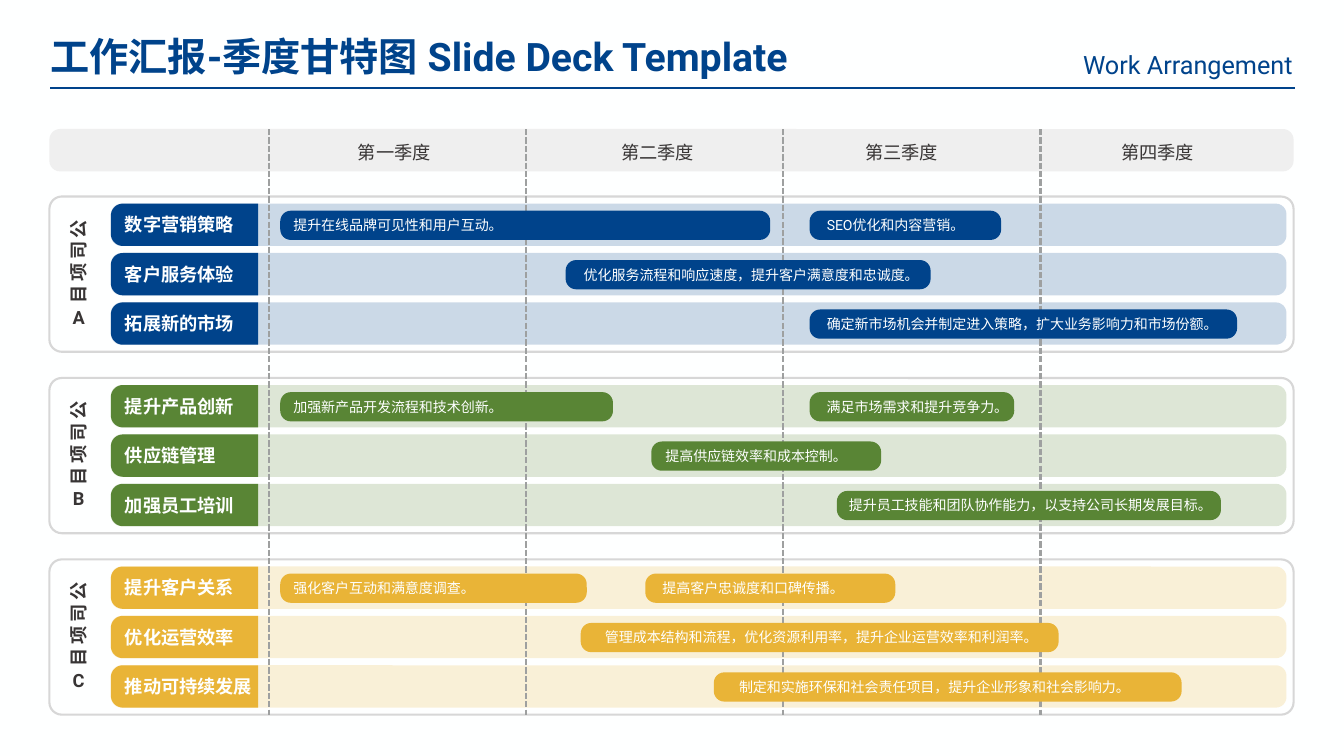
from math import cos, radians, sin

from pptx import Presentation
from pptx.dml.color import RGBColor
from pptx.enum.dml import MSO_LINE
from pptx.enum.lang import MSO_LANGUAGE_ID as LANGUAGE
from pptx.enum.shapes import MSO_CONNECTOR, MSO_SHAPE
from pptx.enum.text import MSO_ANCHOR, MSO_AUTO_SIZE, PP_ALIGN
from pptx.oxml.ns import qn
from pptx.util import Pt

PX = 9144  # 100 px to the inch
FONT = "Roboto"
NAVY, GREEN, AMBER = "00438B", "598535", "E9B437"
WHITE, INK, PALE, FRAME, DASH = "FEFFFF", "383535", "EFEFEF", "D7D7D7", "9EA0A0"
rgb = RGBColor.from_string

GROUP_TOP, GROUP_PITCH, GROUP_HEIGHT = 195, 180, 154
ROW_INSET, ROW_PITCH, ROW_HEIGHT = 7, 49, 42
LABEL_LEFT, LABEL_RIGHT, CORNER = 110, 256, 12
QUARTERS = {"第一季度": 352, "第二季度": 613, "第三季度": 855, "第四季度": 1109}

# Each row: label, then bars of left, width, text left, text width, text
GROUPS = [
    ("公司项目A", NAVY, [
        ("数字营销策略", [
            (278, 486, 288, 213, "提升在线品牌可见性和用户互动。"),
            (803, 190, 817, 148, "SEO优化和内容营销。")]),
        ("客户服务体验", [
            (561, 362, 576, 346, "优化服务流程和响应速度，提升客户满意度和忠诚度。")]),
        ("拓展新的市场", [
            (803, 424, 817, 382, "确定新市场机会并制定进入策略，扩大业务影响力和市场份额。")]),
    ]),
    ("公司项目B", GREEN, [
        ("提升产品创新", [
            (278, 330, 288, 213, "加强新产品开发流程和技术创新。"),
            (803, 203, 817, 183, "满足市场需求和提升竞争力。")]),
        ("供应链管理", [
            (646, 228, 657, 203, "提高供应链效率和成本控制。")]),
        ("加强员工培训", [
            (830, 381, 839, 374, "提升员工技能和团队协作能力，以支持公司长期发展目标。")]),
    ]),
    ("公司项目C", AMBER, [
        ("提升客户关系", [
            (278, 304, 288, 213, "强化客户互动和满意度调查。"),
            (640, 248, 654, 185, "提高客户忠诚度和口碑传播。")]),
        ("优化运营效率", [
            (576, 474, 597, 526, "管理成本结构和流程，优化资源利用率，提升企业运营效率和利润率。")]),
        ("推动可持续发展", [
            (708, 464, 730, 442, "制定和实施环保和社会责任项目，提升企业形象和社会影响力。")]),
    ]),
]

deck = Presentation()
deck.slide_width, deck.slide_height = 1333 * PX, 750 * PX
page = deck.slides.add_slide(deck.slide_layouts[5])
page.background.fill.solid()
page.background.fill.fore_color.rgb = rgb(WHITE)
shapes = page.shapes


def write(at, text, size, color, bold=False, align=PP_ALIGN.LEFT, inset=(3, 3), box=None):
    """Put one line of text at a place, in a new text box unless one is given."""
    left, top, width, height = [length * PX for length in at]
    box = box or shapes.add_textbox(left, top, width, height)
    place = {"left": left, "top": top, "width": width, "height": height}
    for name, value in place.items():
        setattr(box, name, value)
    across, down = [length * PX for length in inset]
    frame_format = {"margin_left": across, "margin_right": across,
                    "margin_top": down, "margin_bottom": down, "word_wrap": True,
                    "vertical_anchor": MSO_ANCHOR.TOP,
                    "auto_size": MSO_AUTO_SIZE.SHAPE_TO_FIT_TEXT}
    for name, value in frame_format.items():
        setattr(box.text_frame, name, value)
    para = box.text_frame.paragraphs[0]
    para.alignment = align
    span = para.add_run()
    span.text = text
    font_format = {"name": FONT, "size": Pt(size), "bold": bold,
                   "language_id": LANGUAGE.SIMPLIFIED_CHINESE}
    for name, value in font_format.items():
        setattr(span.font, name, value)
    span.font.color.rgb = rgb(color)
    properties = span._r.get_or_add_rPr()
    properties.append(properties.makeelement(qn("a:ea"), {"typeface": FONT}))
    return box


def add_block(at, rounding, color):
    """Add a filled rounded rectangle."""
    block = shapes.add_shape(MSO_SHAPE.ROUNDED_RECTANGLE, *[length * PX for length in at])
    block.adjustments[0] = rounding
    block.shadow.inherit = False
    block.fill.solid()
    block.fill.fore_color.rgb = rgb(color)
    block.line.fill.background()
    return block


# Heading
write((40, 27, 832, 57), "工作汇报-季度甘特图 Slide Deck Template", 28, NAVY,
      bold=True, inset=(10, 5), box=shapes.title)
write((1039, 44, 253, 40), "Work Arrangement", 18, NAVY,
      align=PP_ALIGN.RIGHT, inset=(10, 5))

# Quarter header
add_block((49, 128, 1234, 42), 0.25, PALE)
for quarter, left in QUARTERS.items():
    write((left, 137, 85, 27), quarter, 13, INK)

# Project groups with their row labels
for group, (project, color, rows) in enumerate(GROUPS):
    group_top = GROUP_TOP + group * GROUP_PITCH
    row_tops = [group_top + ROW_INSET + row * ROW_PITCH for row in range(len(rows))]
    for top in row_tops:
        band = add_block((LABEL_LEFT, top, 1166, ROW_HEIGHT), 0.25, color)
        tint = band.fill._xPr.find(qn("a:solidFill"))[0]
        tint.append(tint.makeelement(qn("a:alpha"), {"val": "20000"}))

    outline = add_block((49, group_top, 1234, GROUP_HEIGHT), 0.08, WHITE)
    outline.fill.background()
    outline.line.color.rgb = rgb(FRAME)
    outline.line.width = Pt(1.5)

    for top, (label, bars) in zip(row_tops, rows):
        bottom = top + ROW_HEIGHT
        corners = [(top + CORNER, range(270, 179, -10)),
                   (bottom - CORNER, range(180, 89, -10))]
        points = [((LABEL_LEFT + CORNER + CORNER * cos(radians(angle))) * PX,
                   (middle + CORNER * sin(radians(angle))) * PX)
                  for middle, angles in corners for angle in angles]
        points.append((LABEL_RIGHT * PX, bottom * PX))
        builder = shapes.build_freeform(LABEL_RIGHT * PX, top * PX)
        builder.add_line_segments(points)
        tab = builder.convert_to_shape()
        tab.shadow.inherit = False
        tab.fill.solid()
        tab.fill.fore_color.rgb = rgb(color)
        tab.line.fill.background()
        write((121, top + 7, 136, 27), label, 13, WHITE, bold=True)

    side = write((22, group_top + 63, 115, 27), project, 13, INK,
                 bold=True, align=PP_ALIGN.CENTER)
    side.rotation = 270
    side.text_frame._txBody.bodyPr.set("vert", "eaVert")

# Heading rule and quarter dividers
rules = [((50, 87, 1284, 87), NAVY, MSO_LINE.SOLID)]
rules += [((x, 128, x, 709), DASH, MSO_LINE.SQUARE_DOT) for x in range(267, 1033, 255)]
for ends, color, dash in rules:
    rule = shapes.add_connector(MSO_CONNECTOR.STRAIGHT, *[end * PX for end in ends])
    rule.line.color.rgb = rgb(color)
    rule.line.width = Pt(1.5)
    rule.line.dash_style = dash
    properties = rule._element.spPr
    properties.append(properties.makeelement(qn("a:effectLst"), {}))
    if dash == MSO_LINE.SQUARE_DOT:
        properties.find(".//" + qn("a:prstDash")).set("val", "sysDash")

# Task bars
for group, (project, color, rows) in enumerate(GROUPS):
    for row, (label, bars) in enumerate(rows):
        top = GROUP_TOP + group * GROUP_PITCH + ROW_INSET + row * ROW_PITCH + 7
        for left, width, text_left, text_width, task in bars:
            add_block((left, top, width, 29), 0.36, color)
            write((text_left, top + 3, text_width, 22), task, 10, WHITE)

deck.save("out.pptx")
